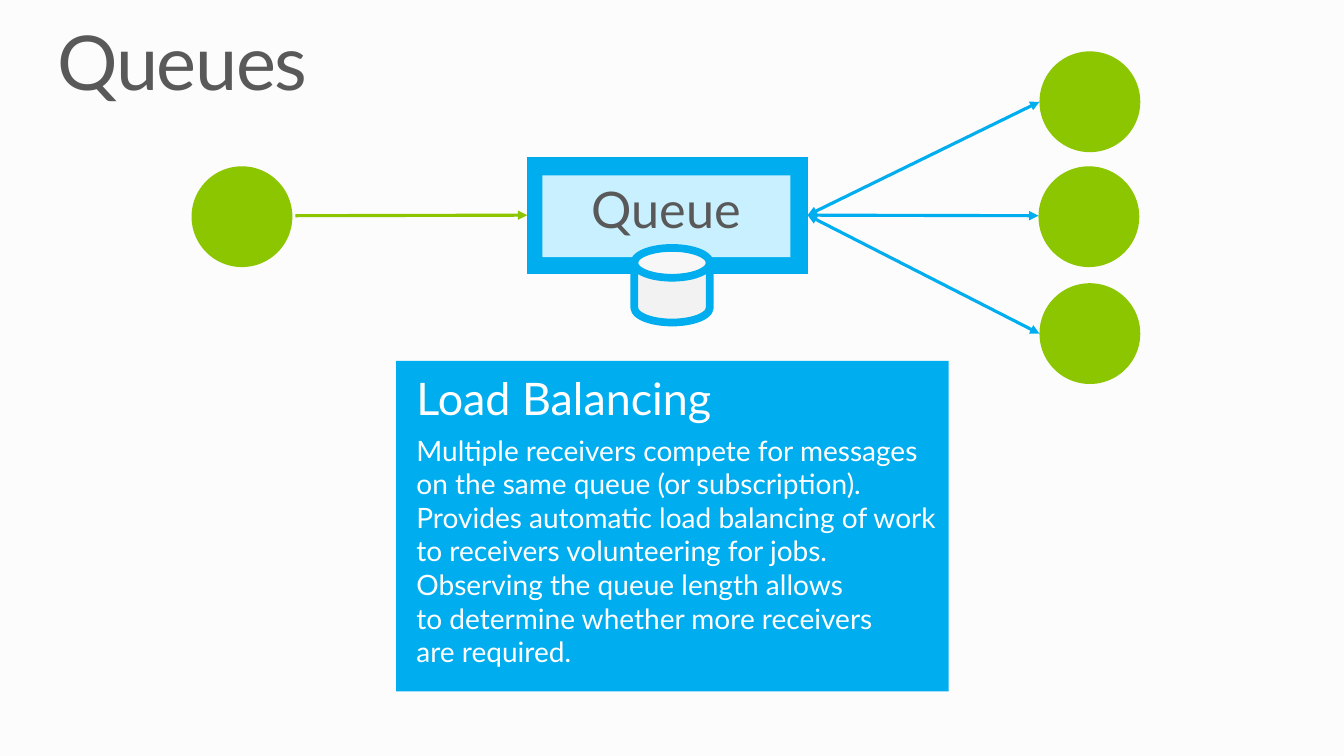
"""Builds a slide on queues and load balancing between receivers."""
from lxml import etree
from pptx import Presentation
from pptx import util as u
from pptx.dml.color import RGBColor
from pptx.enum import shapes, text
from pptx.oxml import ns

COLORS = {"background": "FCFCFC", "green": "8CC600", "blue": "00AEEF",
          "edge": "00AAEA", "pale": "C9F0FF", "gray": "F2F2F2",
          "dark": "595959", "white": "FFFFFF"}
FONT = "Lato"


def add_box(kind, x, y, w, h, fill, line=None, width=0.75):
    sp = slide.shapes.add_shape(kind, *map(u.Inches, (x, y, w, h)))
    sp.shadow.inherit = False
    sp.fill.solid()
    sp.fill.fore_color.rgb = RGBColor.from_string(COLORS[fill])
    if line:
        sp.line.color.rgb = RGBColor.from_string(COLORS[line])
        sp.line.width = u.Pt(width)
    else:
        sp.line.fill.background()
    return sp


def write(sp, lines, color, align, anchor, insets):
    tf = sp.text_frame
    tf.word_wrap = True
    tf.vertical_anchor = anchor
    tf.margin_left, tf.margin_top, tf.margin_right, tf.margin_bottom = map(u.Inches, insets)
    for i, (words, size) in enumerate(lines):
        p = tf.add_paragraph() if i else tf.paragraphs[0]
        p.text = words
        p.alignment = align
        for r in p.runs:
            r.font.name = FONT
            r.font.size = u.Pt(size)
            r.font.color.rgb = RGBColor.from_string(COLORS[color])
    return tf.paragraphs[0]


prs = Presentation()
prs.slide_width, prs.slide_height = u.Inches(13.33), u.Inches(7.5)
slide = prs.slides.add_slide(prs.slide_layouts[6])
slide.background.fill.solid()
slide.background.fill.fore_color.rgb = RGBColor.from_string(COLORS["background"])

LEFT, CENTER = text.PP_ALIGN.LEFT, text.PP_ALIGN.CENTER
TOP, MIDDLE = text.MSO_ANCHOR.TOP, text.MSO_ANCHOR.MIDDLE
SHAPE = shapes.MSO_SHAPE

title = slide.shapes.add_textbox(*map(u.Inches, (0.57, 0.25, 12.19, 0.82)))
p = write(title, [("Queues", 54)], "dark", LEFT, TOP, (0, 0, 0, 0))
p.line_spacing = 0.9
p.runs[0].font._element.set("spc", "-100")

panel = add_box(SHAPE.RECTANGLE, 3.93, 3.58, 5.48, 3.28, "blue")
p = write(panel, [
    ("Load Balancing", 32),
    ("Multiple receivers compete for messages on the same queue (or subscription). "
     "Provides automatic load balancing of work to receivers volunteering for jobs.", 20),
    ("Observing the queue length allows \vto determine whether more receivers \vare required.", 20),
], "white", LEFT, TOP, (0.2, 0.1, 0.1, 0))
p.space_after = u.Pt(6)

queue = add_box(SHAPE.RECTANGLE, 5.23, 1.56, 2.78, 1.15, "blue", "edge")
label = add_box(SHAPE.RECTANGLE, 5.38, 1.74, 2.46, 0.81, "pale")
write(label, [("Queue", 36)], "dark", CENTER, MIDDLE, (0.1, 0.05, 0.1, 0.2))
store = add_box(SHAPE.CAN, 6.29, 2.46, 0.75, 0.74, "gray", "blue", 5.5)
store.adjustments[0] = 0.4

for x, y in ((1.9, 1.65), (10.31, 0.51), (10.3, 1.65), (10.31, 2.81)):
    add_box(SHAPE.OVAL, x, y, 1, 1, "green")

for x1, y1, x2, y2, color in ((2.93, 2.14, 5.23, 2.14, "green"),
                              (8.01, 2.14, 10.31, 1.01, "blue"),
                              (8.01, 2.14, 10.3, 2.14, "blue"),
                              (8.01, 2.14, 10.31, 3.31, "blue")):
    arrow = slide.shapes.add_connector(shapes.MSO_CONNECTOR.STRAIGHT,
                                       *map(u.Inches, (x1, y1, x2, y2)))
    arrow.line.color.rgb = RGBColor.from_string(COLORS[color])
    arrow.line.width = u.Pt(2.25)
    ln = arrow.line._get_or_add_ln()
    if color == "green":
        arrow.end_connect(queue, 1)
    else:
        arrow.begin_connect(queue, 3)
        etree.SubElement(ln, ns.qn("a:headEnd"), type="triangle")
    etree.SubElement(ln, ns.qn("a:tailEnd"), type="triangle")
    etree.SubElement(arrow._element.spPr, ns.qn("a:effectLst"))

prs.save("out.pptx")
